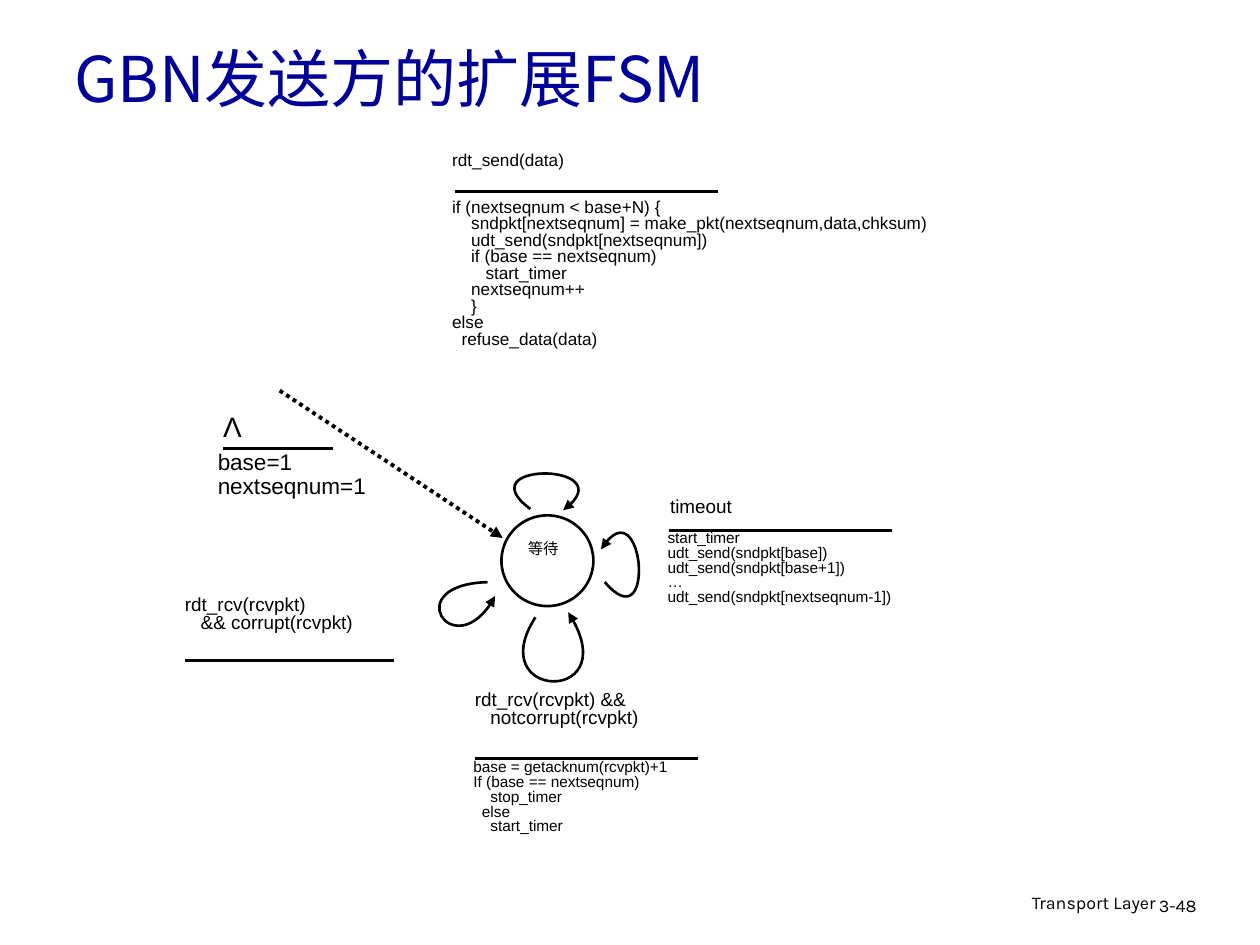
from dataclasses import dataclass
from lxml import etree
from pptx import Presentation
from pptx.dml.color import RGBColor
from pptx.enum.dml import MSO_LINE
from pptx.enum.shapes import MSO_CONNECTOR, MSO_SHAPE
from pptx.enum.text import MSO_ANCHOR, PP_ALIGN
from pptx.oxml.ns import qn
from pptx.util import Inches, Pt

LEFT, CENTER, RIGHT = PP_ALIGN.LEFT, PP_ALIGN.CENTER, PP_ALIGN.RIGHT
MIDDLE = MSO_ANCHOR.MIDDLE
STRAIGHT = MSO_CONNECTOR.STRAIGHT
OVAL = MSO_SHAPE.OVAL
DOTTED = MSO_LINE.ROUND_DOT


@dataclass(frozen=True)
class Theme:
    ink = RGBColor(0x00, 0x00, 0x00)
    paper = RGBColor(0xFF, 0xFF, 0xFF)
    heading = RGBColor(0x00, 0x00, 0x99)
    latin = "Arial"
    chinese = "Noto Sans CJK SC"
    footer = "Karla"
    title_size = 36
    lambda_size = 16
    start_size = 12.9
    event_size = 10.8
    footer_size = 10.2
    send_size = 9.8
    action_size = 8.8
    thin = 1.5
    thick = 2.25


theme = Theme()


def write(frame, lines, size, font=theme.latin, color=theme.ink, align=LEFT, spacing=0.8):
    """Fill a text frame with one paragraph per line."""
    frame.text = "\n".join(lines)
    for paragraph in frame.paragraphs:
        paragraph.alignment = align
        paragraph.line_spacing = spacing
        for run in paragraph.runs:
            run.font.size = Pt(size)
            run.font.name = font
            run.font.color.rgb = color
            east_asian = etree.SubElement(run.font._element, qn("a:ea"))
            east_asian.set("typeface", font)


def stroke(shape, width, arrow=False):
    """Give a line or outline its ink, width and optional end arrow."""
    shape.line.color.rgb = theme.ink
    shape.line.width = Pt(width)
    if arrow:
        etree.SubElement(shape.line._get_or_add_ln(), qn("a:tailEnd")).set("type", "triangle")


prs = Presentation()
prs.slide_width, prs.slide_height = Inches(10), Inches(7.5)
slide = prs.slides.add_slide(prs.slide_layouts[5])

# Title
title = slide.shapes.title
title.left, title.top, title.width, title.height = map(Inches, (0.49, 0.23, 8.5, 0.77))
title.text_frame.vertical_anchor = MIDDLE
write(title.text_frame, ["GBN发送方的扩展FSM"], theme.title_size, theme.chinese,
      theme.heading, spacing=1.0)

# The single waiting state
state = slide.shapes.add_shape(OVAL, Inches(3.98), Inches(4.09), Inches(0.73), Inches(0.72))
state.shadow.inherit = False
state.fill.solid()
state.fill.fore_color.rgb = theme.paper
stroke(state, theme.thin)

# Events and actions: box, lines of text, size
labels = [
    ((1.63, 3.53, 1.62, 0.55), ["base=1", "nextseqnum=1"], theme.start_size, {"spacing": 0.9}),
    ((1.67, 3.2, 0.35, 0.37), ["Λ"], theme.lambda_size, {"align": CENTER, "spacing": 1.0}),
    ((3.49, 1.17, 2.55, 0.28), ["rdt_send(data)"], theme.send_size, {}),
    ((3.49, 1.54, 6.04, 1.6), [
        "if (nextseqnum < base+N) {",
        "    sndpkt[nextseqnum] = make_pkt(nextseqnum,data,chksum)",
        "    udt_send(sndpkt[nextseqnum])",
        "    if (base == nextseqnum)",
        "       start_timer",
        "    nextseqnum++",
        "    }",
        "else",
        "  refuse_data(data)",
    ], theme.send_size, {}),
    ((5.22, 3.91, 1.2, 0.3), ["timeout"], theme.event_size, {}),
    ((5.2, 4.17, 3.04, 0.91), [
        "start_timer",
        "udt_send(sndpkt[base])",
        "udt_send(sndpkt[base+1])",
        "…",
        "udt_send(sndpkt[nextseqnum-1])",
    ], theme.action_size, {}),
    ((3.67, 5.44, 3.1, 0.49), ["rdt_rcv(rcvpkt) &&", "   notcorrupt(rcvpkt)"],
     theme.event_size, {}),
    ((3.66, 5.99, 4.03, 0.91), [
        "base = getacknum(rcvpkt)+1",
        "If (base == nextseqnum)",
        "    stop_timer",
        "  else",
        "    start_timer",
    ], theme.action_size, {}),
    ((1.37, 4.69, 2.24, 0.49), ["rdt_rcv(rcvpkt)", "   && corrupt(rcvpkt)"],
     theme.event_size, {}),
    # State name and footer
    ((3.87, 4.26, 0.88, 0.26), ["等待"], theme.action_size,
     {"font": theme.chinese, "align": CENTER}),
    ((6.1, 7.05, 3.17, 0.31), ["Transport Layer"], theme.footer_size,
     {"font": theme.footer, "align": RIGHT, "spacing": 0.9}),
    ((9.1, 7.07, 0.74, 0.3), ["3-48"], theme.footer_size,
     {"font": theme.footer, "spacing": 0.9}),
]
for box, lines, size, style in labels:
    label = slide.shapes.add_textbox(*map(Inches, box))
    label.text_frame.word_wrap = lines != ["Λ"]
    write(label.text_frame, lines, size, **style)

# Rules between event and action, then the dotted entry arrow
connections = [
    ((3.61, 1.52, 5.7, 1.52), theme.thick, False),
    ((5.31, 4.21, 7.08, 4.21), theme.thin, False),
    ((3.77, 6.02, 5.54, 6.02), theme.thick, False),
    ((1.77, 3.56, 2.64, 3.56), theme.thin, False),
    ((1.47, 5.24, 3.13, 5.24), theme.thin, False),
    ((2.22, 3.1, 3.99, 4.27), theme.thick, True),
]
for ends, width, is_entry in connections:
    connection = slide.shapes.add_connector(STRAIGHT, *map(Inches, ends))
    etree.SubElement(connection._element.spPr, qn("a:effectLst"))
    if is_entry:
        connection.line.dash_style = DOTTED
    stroke(connection, width, arrow=is_entry)

# Self-transitions: start, two control points, end
loops = [
    [(4.21, 4.04), (3.71, 3.67), (4.98, 3.67), (4.47, 4.05)],
    [(4.8, 4.62), (5.2, 5.09), (5.11, 3.83), (4.77, 4.36)],
    [(4.25, 4.9), (3.83, 5.55), (4.99, 5.6), (4.51, 4.86)],
    [(3.87, 4.62), (3.17, 4.64), (3.62, 5.31), (3.93, 4.73)],
]
for points in loops:
    start, *rest = [(Inches(x), Inches(y)) for x, y in points]
    builder = slide.shapes.build_freeform(*start)
    builder.add_line_segments(rest, close=False)
    loop = builder.convert_to_shape()
    loop.shadow.inherit = False
    loop.fill.background()
    stroke(loop, theme.thin, arrow=True)
    # Merge the three segments into one cubic curve
    segments = loop._element.xpath(".//a:lnTo")
    curve = etree.SubElement(segments[0].getparent(), qn("a:cubicBezTo"))
    for segment in segments:
        curve.append(segment[0])
        segment.getparent().remove(segment)

prs.save("out.pptx")
